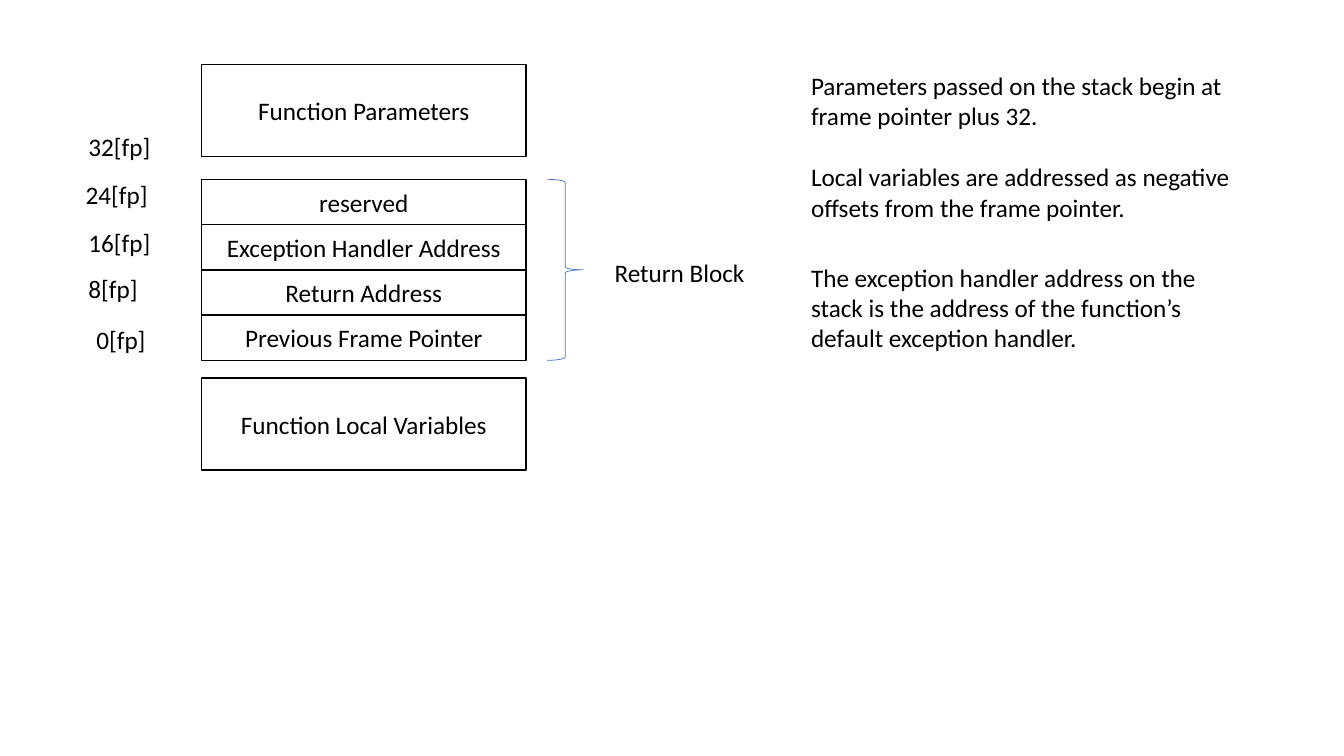
"""Build a slide showing the layout of a stack frame."""
from pptx import Presentation
from pptx.dml.color import RGBColor
from pptx.enum.shapes import MSO_SHAPE as Shape
from pptx.enum.text import MSO_ANCHOR as Anchor, MSO_AUTO_SIZE as Fit, PP_ALIGN as Align
from pptx.util import Cm, Pt

BLACK = RGBColor(0x00, 0x00, 0x00)
WHITE = RGBColor(0xFF, 0xFF, 0xFF)
BLUE = RGBColor(0x44, 0x72, 0xC4)

deck = Presentation()
deck.slide_width, deck.slide_height = Cm(33.87), Cm(19.05)
slide = deck.slides.add_slide(deck.slide_layouts[6])


def write(frame, texts, align):
    for i, text in enumerate(texts):
        par = frame.paragraphs[0] if i == 0 else frame.add_paragraph()
        par.alignment = align
        if i > 0:
            par.space_before = Pt(22)
        run = par.add_run()
        run.text = text
        run.font.name = "Calibri"
        run.font.size = Pt(18)
        run.font.color.rgb = BLACK


def note(left, top, width, height, texts, wrap):
    box = slide.shapes.add_textbox(Cm(left), Cm(top), Cm(width), Cm(height))
    box.text_frame.word_wrap = wrap
    box.text_frame.auto_size = Fit.SHAPE_TO_FIT_TEXT
    write(box.text_frame, texts, Align.LEFT)


ROW = 1.14
BASE = 4.52
names = ["reserved", "Exception Handler Address", "Return Address", "Previous Frame Pointer"]
cells = [(BASE + i * ROW, ROW, name) for i, name in enumerate(names)]
cells += [(1.63, 2.32, "Function Parameters"), (9.53, 2.32, "Function Local Variables")]
for top, height, name in cells:
    cell = slide.shapes.add_shape(Shape.RECTANGLE, Cm(5.08), Cm(top), Cm(8.18), Cm(height))
    cell.shadow.inherit = False
    cell.fill.solid()
    cell.fill.fore_color.rgb = WHITE
    cell.line.color.rgb = BLACK
    cell.line.width = Pt(1)
    cell.text_frame.word_wrap = True
    cell.text_frame.vertical_anchor = Anchor.MIDDLE
    write(cell.text_frame, [name], Align.CENTER)

brace = slide.shapes.add_shape(
    Shape.RIGHT_BRACE, Cm(13.79), Cm(BASE), Cm(0.91), Cm(len(names) * ROW))
brace.shadow.inherit = False
brace.fill.background()
brace.line.color.rgb = BLUE
brace.line.width = Pt(0.5)
note(15.24, 6.36, 3.81, 1.03, ["Return Block"], False)

marks = [
    (1.98, 3.18, 2.08, "32[fp]"),
    (1.91, 4.4, 2.08, "24[fp]"),
    (1.98, 5.61, 2.08, "16[fp]"),
    (1.98, 6.76, 1.75, "8[fp]"),
    (2.18, 8.05, 1.75, "0[fp]"),
]
for left, top, width, mark in marks:
    note(left, top, width, 1.03, [mark], False)

note(20.19, 1.65, 11.2, 4.11, [
    "Parameters passed on the stack begin at frame pointer plus 32.",
    "Local variables are addressed as negative offsets from the frame pointer.",
], True)
note(20.19, 6.48, 10.95, 2.57, [
    "The exception handler address on the stack is the address of the function’s "
    "default exception handler.",
], True)

deck.save("out.pptx")
